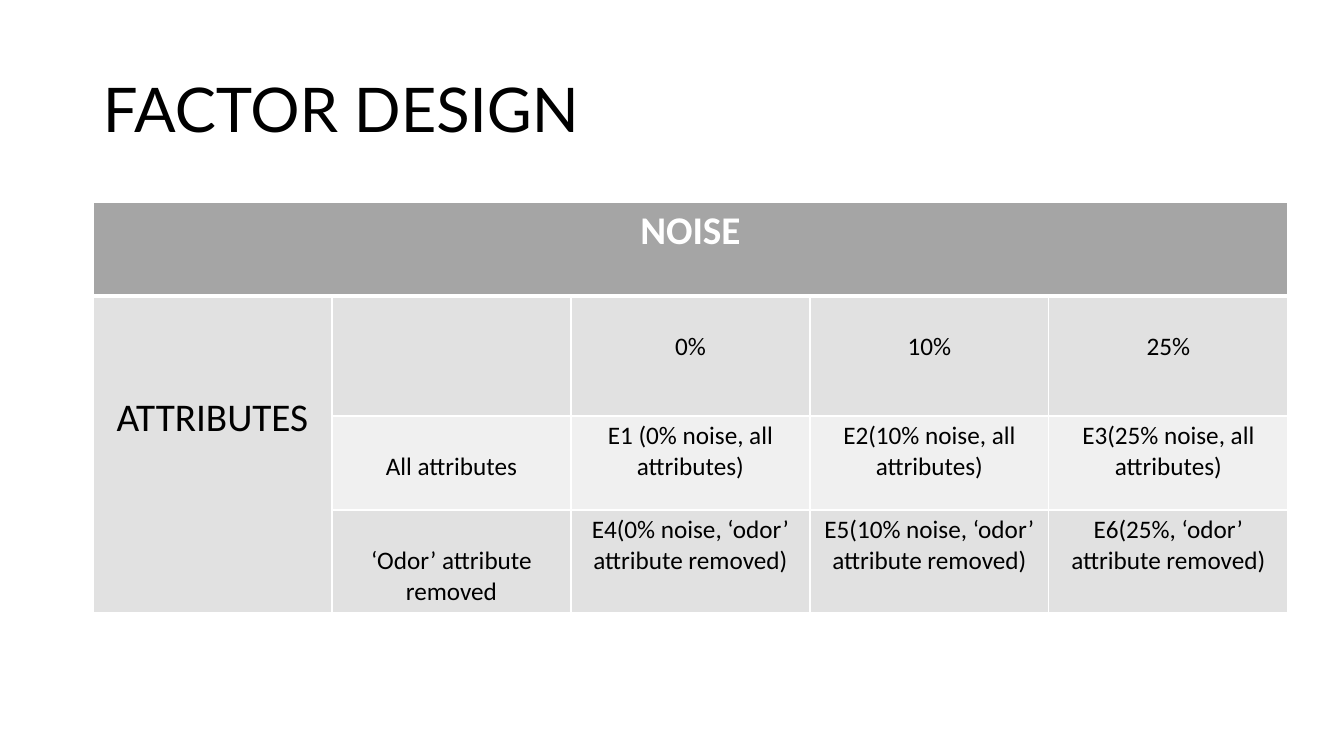
import dataclasses

import lxml.etree
import pptx
import pptx.dml.color
import pptx.enum.text
import pptx.oxml.ns
import pptx.util

EMU_PER_PX = 914400 / 100.8


@dataclasses.dataclass(frozen=True)
class Theme:
    title_font: str = "Lato"
    table_font: str = "Calibri"
    title_size: int = 44
    heading_size: int = 28
    body_size: int = 18
    text: str = "000000"
    white: str = "FFFFFF"
    header_fill: str = "A5A5A5"
    dark_band: str = "E1E1E1"
    light_band: str = "F0F0F0"
    rule: float = 1
    header_rule: float = 3


THEME = Theme()

NOISE_LEVELS = ["0%", "10%", "25%"]
EXPERIMENTS = {
    "All attributes": [
        "E1 (0% noise, all attributes)",
        "E2(10% noise, all attributes)",
        "E3(25% noise, all attributes)",
    ],
    "‘Odor’ attribute removed": [
        "E4(0% noise, ‘odor’ attribute removed)",
        "E5(10% noise, ‘odor’ attribute removed)",
        "E6(25%, ‘odor’ attribute removed)",
    ],
}
ROW_HEIGHTS = [94, 120, 94, 103]
CELL_INSET = 5
LABEL_INSET = 36
ATTRIBUTES_INSET = 98


def px(length):
    return pptx.util.Emu(round(length * EMU_PER_PX))


def rgb(color):
    return pptx.dml.color.RGBColor.from_string(color)


def style_text(paragraph, font, size, color, bold=False):
    paragraph.font.name = font
    paragraph.font.size = pptx.util.Pt(size)
    paragraph.font.color.rgb = rgb(color)
    paragraph.font.bold = bold


def write_cell(cell, wording, inset=CELL_INSET, size=THEME.body_size,
               color=THEME.text, bold=False):
    cell.margin_top = px(inset)
    paragraph = cell.text_frame.paragraphs[0]
    paragraph.text = wording
    paragraph.alignment = pptx.enum.text.PP_ALIGN.CENTER
    style_text(paragraph, THEME.table_font, size, color, bold)


def rule_cell(cell, top, bottom):
    """Draw white borders, with the given top and bottom widths in points."""
    properties = cell._tc.get_or_add_tcPr()
    widths = {"lnL": THEME.rule, "lnR": THEME.rule, "lnT": top, "lnB": bottom}
    for position, (side, width) in enumerate(widths.items()):
        line = lxml.etree.Element(pptx.oxml.ns.qn(f"a:{side}"),
                                  w=str(pptx.util.Pt(width)))
        fill = lxml.etree.SubElement(line, pptx.oxml.ns.qn("a:solidFill"))
        lxml.etree.SubElement(fill, pptx.oxml.ns.qn("a:srgbClr"),
                              val=THEME.white)
        properties.insert(position, line)


def add_title(slide, left, top, width, height):
    title = slide.shapes.add_textbox(px(left), px(top), px(width), px(height))
    frame = title.text_frame
    frame.word_wrap = True
    frame.vertical_anchor = pptx.enum.text.MSO_ANCHOR.MIDDLE
    heading = frame.paragraphs[0]
    heading.text = "FACTOR DESIGN"
    heading.line_spacing = 0.9
    style_text(heading, THEME.title_font, THEME.title_size, THEME.text)


def add_factor_table(slide, left, top, width):
    column_count = len(NOISE_LEVELS) + 2
    table = slide.shapes.add_table(
        len(ROW_HEIGHTS), column_count,
        px(left), px(top), px(width), px(sum(ROW_HEIGHTS))).table
    table.first_row = table.horz_banding = False
    for column in table.columns:
        column.width = px(width / column_count)

    bands = [THEME.header_fill, THEME.dark_band,
             THEME.light_band, THEME.dark_band]
    for index, (row, height, band) in enumerate(
            zip(table.rows, ROW_HEIGHTS, bands)):
        row.height = px(height)
        for cell in row.cells:
            cell.fill.solid()
            cell.fill.fore_color.rgb = rgb(band)
            rule_cell(cell,
                      top=THEME.header_rule if index == 1 else THEME.rule,
                      bottom=THEME.header_rule if index == 0 else THEME.rule)

    noise = table.cell(0, 0)
    noise.merge(table.cell(0, column_count - 1))
    write_cell(noise, "NOISE", size=THEME.heading_size,
               color=THEME.white, bold=True)

    attributes = table.cell(1, 0)
    attributes.merge(table.cell(len(ROW_HEIGHTS) - 1, 0))
    write_cell(attributes, "ATTRIBUTES", ATTRIBUTES_INSET, THEME.heading_size)

    for column, level in enumerate(NOISE_LEVELS, start=2):
        write_cell(table.cell(1, column), level, LABEL_INSET)
    for row, (attribute_set, runs) in enumerate(EXPERIMENTS.items(), start=2):
        write_cell(table.cell(row, 1), attribute_set, LABEL_INSET)
        for column, experiment in enumerate(runs, start=2):
            write_cell(table.cell(row, column), experiment)


def main():
    deck = pptx.Presentation()
    deck.slide_width, deck.slide_height = px(1344), px(756)
    slide = deck.slides.add_slide(deck.slide_layouts[6])
    add_title(slide, left=93, top=40, width=1159, height=146)
    add_factor_table(slide, left=93, top=202, width=1195)
    deck.save("out.pptx")


if __name__ == "__main__":
    main()
